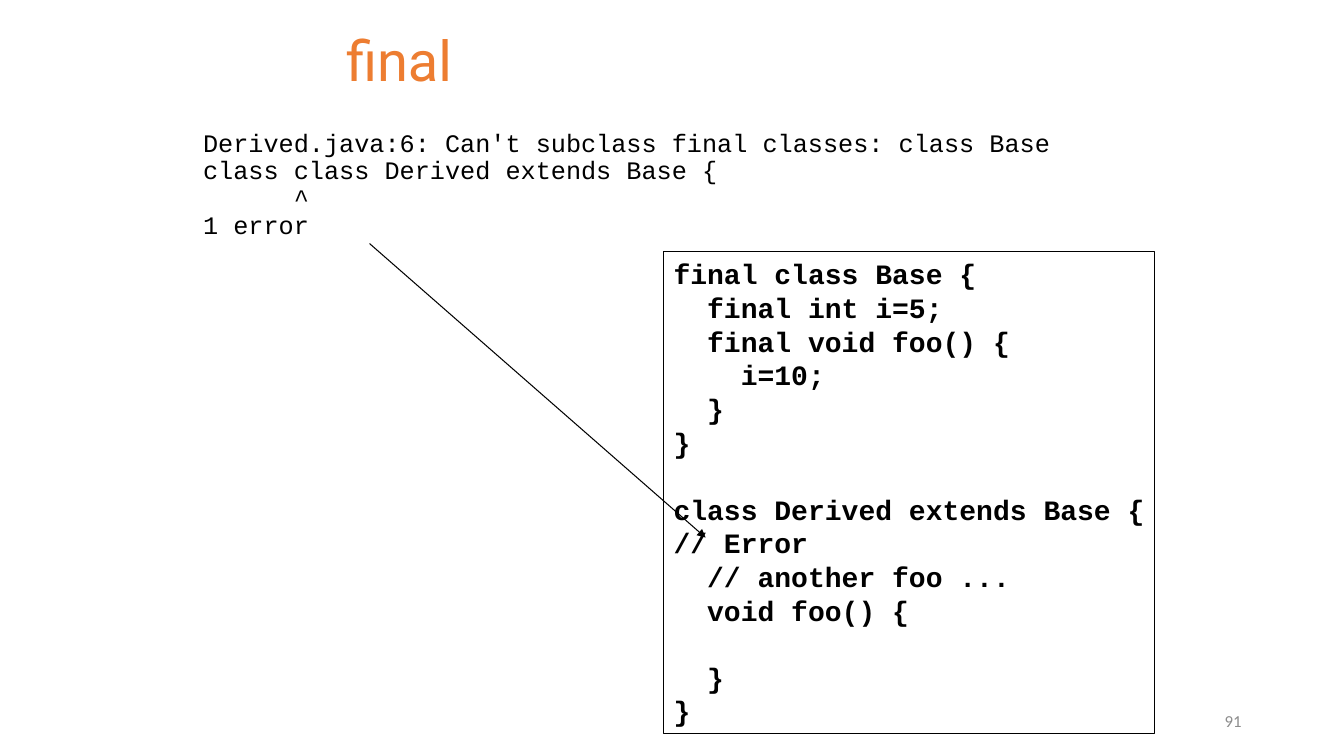
"""Builds the slide on the final keyword in Java."""
from lxml.etree import SubElement
from pptx import Presentation
from pptx.dml.color import RGBColor
from pptx.enum.shapes import MSO_CONNECTOR, MSO_SHAPE
from pptx.enum.text import MSO_ANCHOR, PP_ALIGN
from pptx.oxml.ns import qn
from pptx.util import Pt

TITLE = "final"
ERROR = [
    "Derived.java:6: Can't subclass final classes: class Base",
    "class class Derived extends Base {",
    "      ^",
    "1 error",
]
CODE_GROUPS = [
    [
        "final class Base {",
        "  final int i=5;",
        "  final void foo() {",
        "    i=10;",
        "  }",
        "}",
    ],
    [
        "class Derived extends Base { // Error",
        "  // another foo ...",
        "  void foo() {",
    ],
    ["  }", "}"],
]
PAGE = "91"

BLACK = RGBColor(0x00, 0x00, 0x00)
ORANGE = RGBColor(0xED, 0x7D, 0x31)
GRAY = RGBColor(0x8C, 0x8C, 0x8C)
MONO = "Courier New"
CODE_SIZE = 20
BLANK_LINE = Pt(CODE_SIZE * 1.2)


def place(sp, left, top, width, height):
    sp.left, sp.top, sp.width, sp.height = Pt(left), Pt(top), Pt(width), Pt(height)


def write(tf, lines, font, size, color, bold=False, spacing=None,
          align=PP_ALIGN.LEFT, anchor=MSO_ANCHOR.TOP):
    tf.word_wrap = True
    tf.vertical_anchor = anchor
    tf.text = "\n".join(lines)
    for p in tf.paragraphs:
        p.alignment = align
        p.line_spacing = spacing
        p.font.name, p.font.size, p.font.bold = font, Pt(size), bold
        p.font.color.rgb = color


def outline(line):
    line.color.rgb = BLACK
    line.width = Pt(0.75)


prs = Presentation()
prs.slide_width, prs.slide_height = Pt(960), Pt(540)
s = prs.slides.add_slide(prs.slide_layouts[5])

title = s.shapes.title
place(title, 240, 18, 492, 54)
write(title.text_frame, [TITLE], "Roboto", 40, ORANGE, spacing=0.9,
      anchor=MSO_ANCHOR.MIDDLE)

code_box = s.shapes.add_shape(MSO_SHAPE.RECTANGLE, Pt(474), Pt(180), Pt(351), Pt(344))
code_box.shadow.inherit = False
code_box.fill.background()
outline(code_box.line)
tf = code_box.text_frame
write(tf, sum(CODE_GROUPS, []), MONO, CODE_SIZE, BLACK, bold=True)
start = 0
for group in CODE_GROUPS[:-1]:
    start += len(group)
    tf.paragraphs[start].space_before = BLANK_LINE

arrow = s.shapes.add_connector(MSO_CONNECTOR.STRAIGHT, Pt(264), Pt(174), Pt(504), Pt(384))
outline(arrow.line)
SubElement(arrow.line._get_or_add_ln(), qn("a:tailEnd"), type="triangle")
SubElement(arrow._element.spPr, qn("a:effectLst"))

error_box = s.shapes.add_textbox(Pt(138), Pt(90), Pt(660), Pt(324))
write(error_box.text_frame, ERROR, MONO, 18, BLACK, spacing=0.9)

page_box = s.shapes.add_textbox(Pt(678), Pt(500.5), Pt(216), Pt(28.75))
write(page_box.text_frame, [PAGE], "Calibri", 12, GRAY, align=PP_ALIGN.RIGHT,
      anchor=MSO_ANCHOR.MIDDLE)

prs.save("out.pptx")
